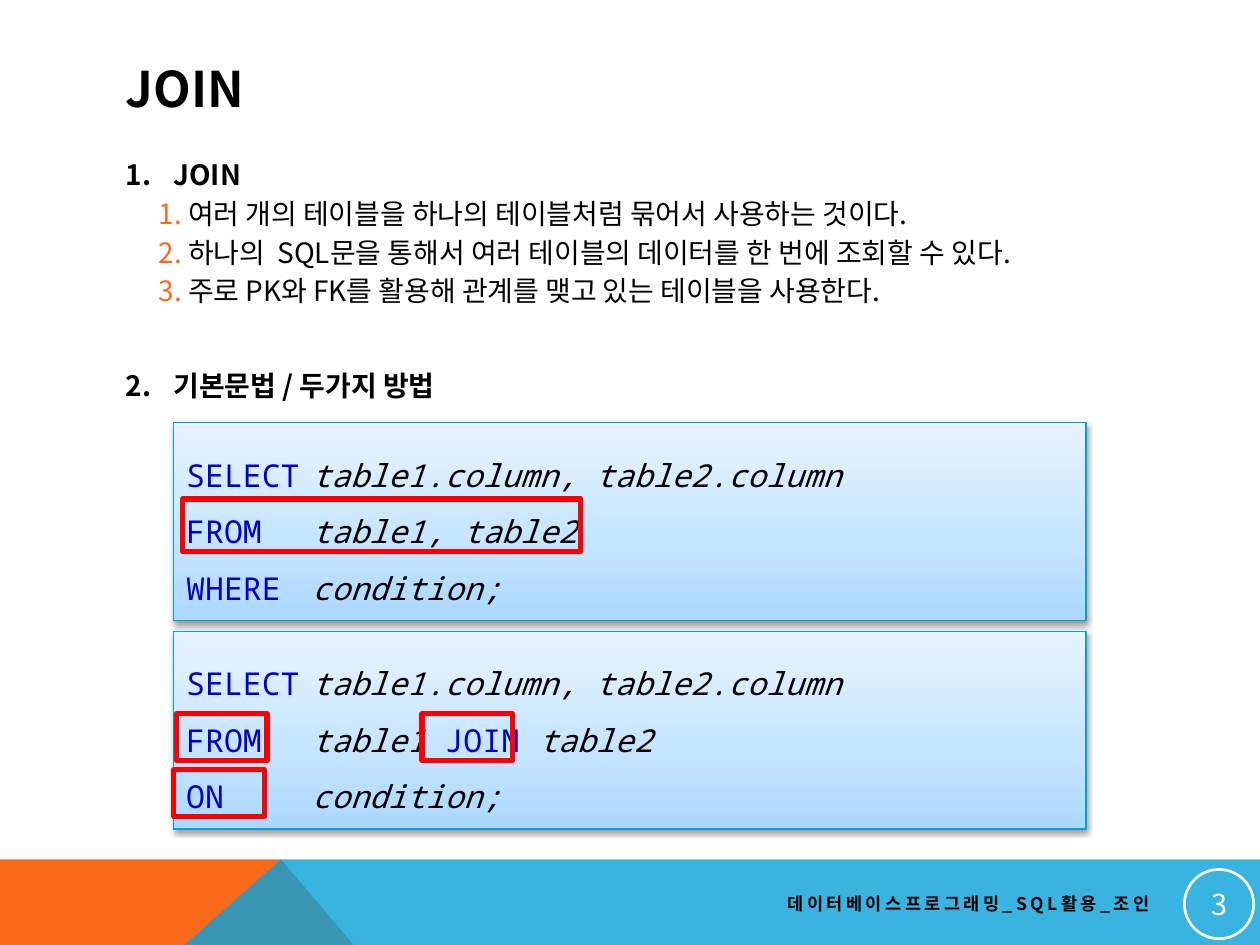
from lxml import etree
from pptx import Presentation
from pptx.dml.color import RGBColor
from pptx.enum.shapes import MSO_SHAPE
from pptx.enum.text import MSO_ANCHOR, PP_ALIGN
from pptx.oxml import parse_xml
from pptx.oxml.ns import qn
from pptx.util import Inches, Pt

RECT, OVAL = MSO_SHAPE.RECTANGLE, MSO_SHAPE.OVAL
TOP, MID = MSO_ANCHOR.TOP, MSO_ANCHOR.MIDDLE
LEFT, MIDDLE, RIGHT = PP_ALIGN.LEFT, PP_ALIGN.CENTER, PP_ALIGN.RIGHT
SANS, MONO = "Noto Sans CJK KR", "Noto Sans Mono"
BLACK, WHITE, BLUE, RED, ORANGE = "000000", "FFFFFF", "0000CD", "FF0000", "F96A1B"
NS = 'xmlns:a="http://schemas.openxmlformats.org/drawingml/2006/main"'
CELL = Inches(0.1)
COLS, ROWS = 100, 75

deck = Presentation()
deck.slide_width, deck.slide_height = COLS * CELL, ROWS * CELL
slide = deck.slides.add_slide(deck.slide_layouts[6])
shapes = slide.shapes


def paint(shape, fill=None, line=None, width=1):
    shape.shadow.inherit = False
    for part, tint in ((shape.fill, fill), (shape.line.fill, line)):
        if tint:
            part.solid()
            part.fore_color.rgb = RGBColor.from_string(tint)
        else:
            part.background()
    if line:
        shape.line.width = Pt(width)


def write(para, text, face, size, tint, **form):
    run = para.add_run()
    run.text = text
    look = {"name": face, "size": Pt(size), "bold": False, "italic": False}
    for key, val in {**look, **form}.items():
        setattr(run.font, key, val)
    run.font.color.rgb = RGBColor.from_string(tint)
    run.font._element.set("kern", "0")
    etree.SubElement(run.font._element, qn("a:ea")).set("typeface", face)
    return run


band, base, peak, foot = 68.2, 88, 22.3, 39.1
for tint, alpha, dots in (
    (ORANGE, 100, [(0, base), (0, band), (peak, band), (foot, base)]),
    ("08A1D9", 80, [(0, base), (peak, band), (COLS, band), (COLS, base)]),
):
    ends = [(x * CELL, y * CELL) for x, y in dots]
    pen = shapes.build_freeform(*ends[0])
    pen.add_line_segments(ends[1:], close=True)
    area = pen.convert_to_shape()
    paint(area, tint)
    if alpha < 100:
        hue = area._element.spPr.find(f"{qn('a:solidFill')}/{qn('a:srgbClr')}")
        etree.SubElement(hue, qn("a:alpha")).set("val", str(alpha * 1000))

frames = []
for box, anchor, align in (
    ((9, 4, 82.2, 6), MID, LEFT),
    ((9, 12, 82.2, 50.7), TOP, LEFT),
    ((35.8, 70.2, 56.4, 3), MID, RIGHT),
):
    frame = shapes.add_textbox(*(int(n * CELL) for n in box)).text_frame
    frame.word_wrap = True
    frame.vertical_anchor = anchor
    frame.paragraphs[0].alignment = align
    frames.append(frame)
title, body, label = frames

write(title.paragraphs[0], "JOIN", SANS, 28, BLACK, bold=True)
note = write(label.paragraphs[0], "데이터베이스프로그래밍_SQL활용_조인", SANS, 10, BLACK, bold=True)
note.font._element.set("spc", "200")

for row, (level, start, gap, text) in enumerate((
    (0, 1, 8, "JOIN"),
    (1, 1, 3, " 여러 개의 테이블을 하나의 테이블처럼 묶어서 사용하는 것이다."),
    (1, 1, 3, " 하나의  SQL문을 통해서 여러 테이블의 데이터를 한 번에 조회할 수 있다."),
    (1, 1, 3, " 주로 PK와 FK를 활용해 관계를 맺고 있는 테이블을 사용한다."),
    (0, 2, 35, "기본문법 / 두가지 방법"),
)):
    para = body.add_paragraph() if row else body.paragraphs[0]
    for key, val in {"level": level, "space_before": Pt(gap), "line_spacing": 1.0}.items():
        setattr(para, key, val)
    write(para, text, SANS, 16, BLACK, bold=level == 0)
    props = para._p.get_or_add_pPr()
    left, hang = ((0.38, 0.38), (0.44, 0.18))[level]
    props.set("marL", str(Inches(left)))
    props.set("indent", str(-Inches(hang)))
    tint = (BLACK, ORANGE)[level]
    props.append(parse_xml(f'<a:buClr {NS}><a:srgbClr val="{tint}"/></a:buClr>'))
    props.append(parse_xml(f'<a:buFont {NS} typeface="{SANS}"/>'))
    props.append(parse_xml(f'<a:buAutoNum {NS} type="arabicPeriod" startAt="{start}"/>'))

badge = shapes.add_shape(OVAL, *(int(n * CELL) for n in (94, 69, 5.5, 5.5)))
paint(badge, line=WHITE, width=1.5)
frame = badge.text_frame
for side in ("left", "right", "top", "bottom"):
    setattr(frame, f"margin_{side}", Inches(0.01))
frame.vertical_anchor = MID
frame.paragraphs[0].alignment = MIDDLE
write(frame.paragraphs[0], "3", SANS, 16.5, WHITE)

select = [("SELECT\t", BLUE), ("table1.column, table2.column", BLACK)]
codes = (
    (select,
     [("FROM\t", BLUE), ("table1, table2", BLACK)],
     [("WHERE\t", BLUE), ("condition;", BLACK)]),
    (select,
     [("FROM\t", BLUE), ("table1 ", BLACK), ("JOIN ", BLUE), ("table2", BLACK)],
     [("ON\t", BLUE), ("condition;", BLACK)]),
)
stops = "".join(
    f'<a:gs pos="{pos * 1000}"><a:srgbClr val="{tint}"/></a:gs>'
    for pos, tint in ((0, "ABD8FF"), (35, "C3E3FF"), (100, "E8F4FF"))
)
for step, code in enumerate(codes):
    box = (13.8, 33.56 + 16.54 * step, 72.4, 15.7)
    panel = shapes.add_shape(RECT, *(int(n * CELL) for n in box))
    paint(panel, "C3E3FF", "03A0D9", 0.75)
    props = panel._element.spPr
    props.replace(props.find(qn("a:solidFill")), parse_xml(
        f'<a:gradFill {NS} rotWithShape="1"><a:gsLst>{stops}</a:gsLst>'
        '<a:lin ang="16200000" scaled="0"/></a:gradFill>'))
    props.find(qn("a:effectLst")).append(parse_xml(
        f'<a:outerShdw {NS} blurRad="{Pt(3.1)}" dist="{Pt(1.6)}" dir="5400000" rotWithShape="0">'
        f'<a:srgbClr val="{BLACK}"><a:alpha val="38000"/></a:srgbClr></a:outerShdw>'))
    frame = panel.text_frame
    frame.vertical_anchor = MID
    for row, parts in enumerate(code):
        para = frame.add_paragraph() if row else frame.paragraphs[0]
        para.alignment = LEFT
        para.line_spacing = 1.5
        para._p.get_or_add_pPr().set("defTabSz", str(Inches(1)))
        for text, tint in parts:
            write(para, text, MONO, 18, tint, italic=tint == BLACK)

for box in (
    (14, 56.65, 7.2, 3.7),
    (33.5, 56.65, 7.2, 3.7),
    (13.8, 61.1, 7.2, 3.7),
    (14.5, 39.6, 31.6, 4.2),
):
    mark = shapes.add_shape(RECT, *(int(n * CELL) for n in box))
    paint(mark, line=RED, width=3)

deck.save("out.pptx")
